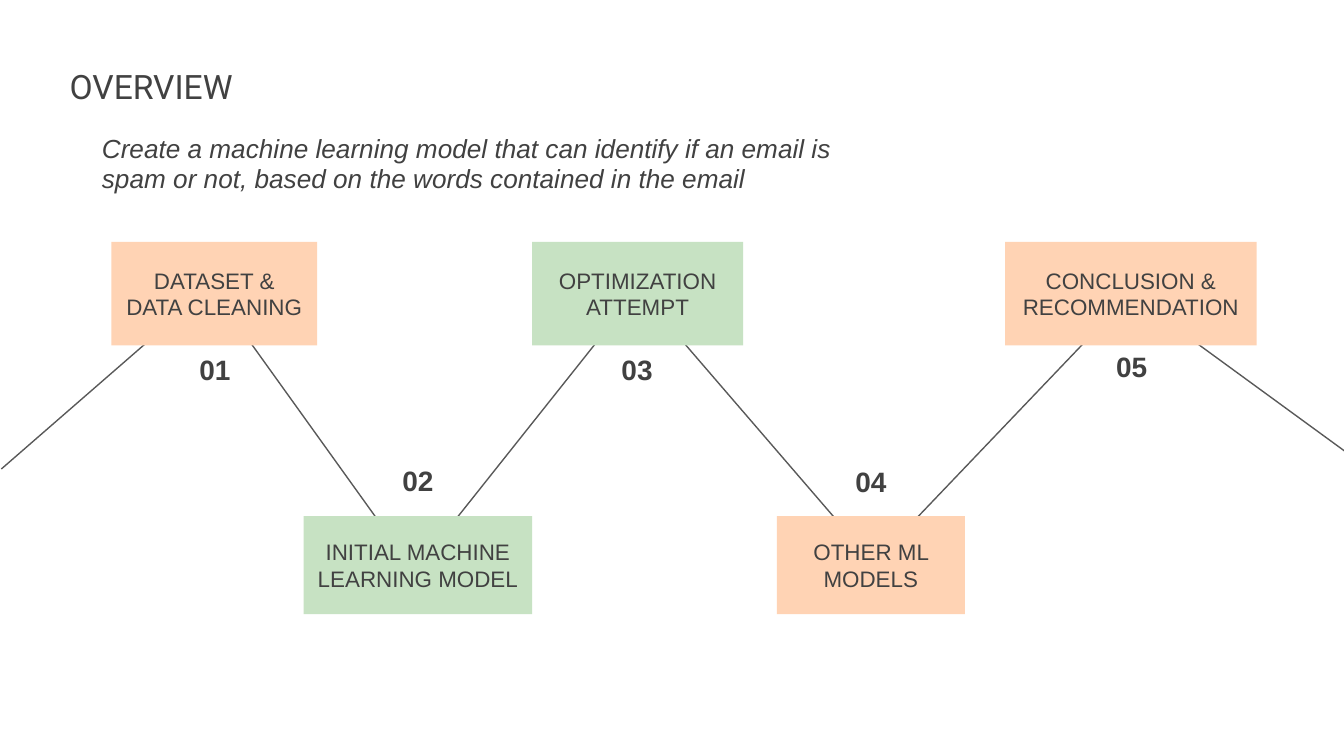
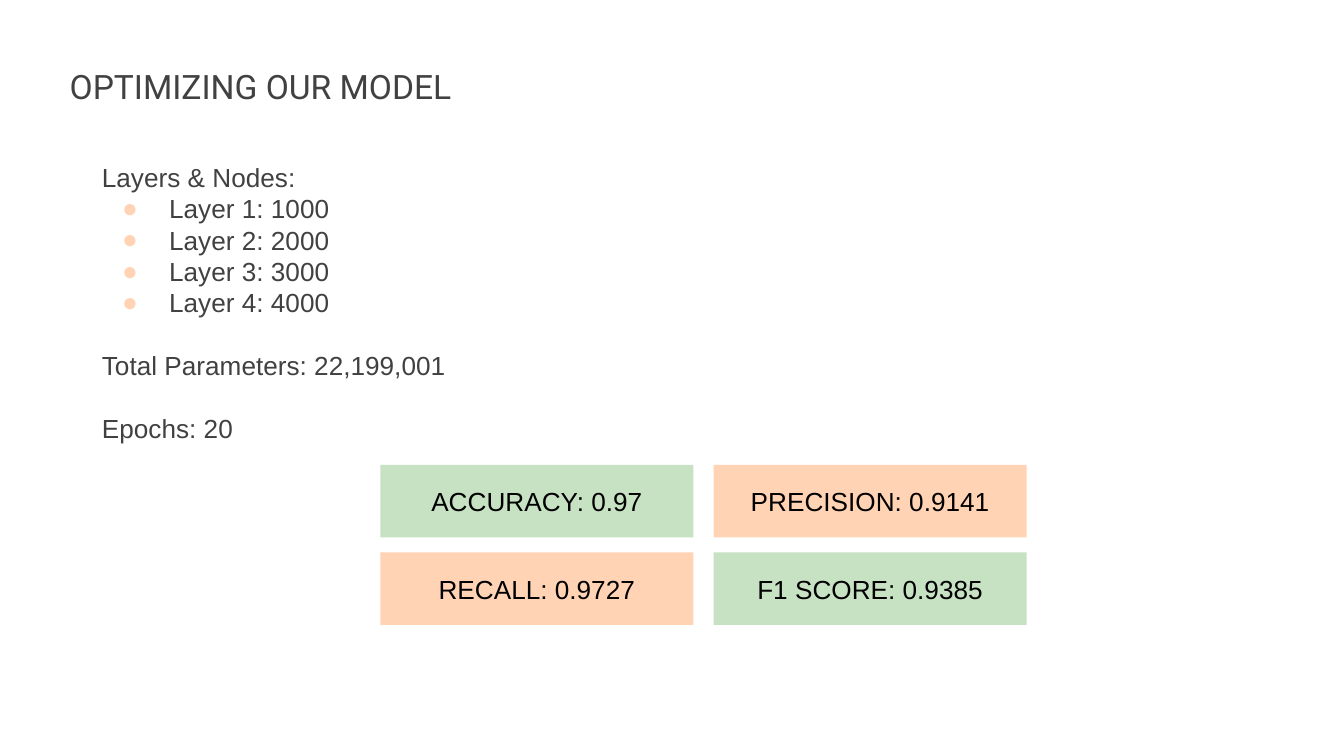
"""Build the overview and model optimization slides of a spam detection deck."""
from dataclasses import dataclass

from lxml.etree import SubElement
from pptx import Presentation
from pptx.dml.color import RGBColor
from pptx.enum.shapes import MSO_CONNECTOR, MSO_SHAPE
from pptx.enum.text import MSO_ANCHOR, MSO_AUTO_SIZE, PP_ALIGN
from pptx.oxml.ns import qn
from pptx.util import Inches, Pt


@dataclass(frozen=True)
class Theme:
    ink: str = "414141"
    black: str = "000000"
    line: str = "595959"
    peach: str = "FFD3B4"
    green: str = "C7E2C3"
    title_font: str = "Roboto"
    body_font: str = "Arial"
    title_size: int = 18
    number_size: int = 15
    body_size: int = 14
    step_size: int = 12


theme = Theme()
title_style = {"name": theme.title_font, "size": Pt(theme.title_size)}
number_style = {"size": Pt(theme.number_size), "bold": True}
body_style = {"size": Pt(theme.body_size)}
goal_style = {**body_style, "italic": True}
step_style = {"size": Pt(theme.step_size)}
frame_format = {
    "word_wrap": True,
    "margin_left": Inches(0.1),
    "margin_top": Inches(0.1),
    "margin_right": Inches(0.1),
    "margin_bottom": Inches(0.1),
}


def set_format(target, values):
    for name, value in values.items():
        setattr(target, name, value)


def add_text(page, lines, place, style, fill=None, color=theme.ink, align=PP_ALIGN.LEFT):
    place = [Inches(length) for length in place]
    if fill:
        box = page.shapes.add_shape(MSO_SHAPE.RECTANGLE, *place)
        box.shadow.inherit = False
        box.fill.solid()
        box.fill.fore_color.rgb = RGBColor.from_string(fill)
        box.line.fill.background()
        fit = {"vertical_anchor": MSO_ANCHOR.MIDDLE}
    else:
        box = page.shapes.add_textbox(*place)
        fit = {"vertical_anchor": MSO_ANCHOR.TOP, "auto_size": MSO_AUTO_SIZE.SHAPE_TO_FIT_TEXT}
    frame = box.text_frame
    set_format(frame, {**frame_format, **fit})
    for index, line in enumerate(lines):
        para = frame.add_paragraph() if index else frame.paragraphs[0]
        para.alignment = align
        span = para.add_run()
        span.text = line
        set_format(span.font, {"name": theme.body_font, **style})
        span.font.color.rgb = RGBColor.from_string(color)
    return box


deck = Presentation()
set_format(deck, {"slide_width": Inches(10), "slide_height": Inches(10 * 9 / 16)})
pages = []
for title, width in [("OVERVIEW", 3.22), ("OPTIMIZING OUR MODEL", 4.58)]:
    page = deck.slides.add_slide(deck.slide_layouts[6])
    add_text(page, [title], (0.42, 0.39, width, 0.5), title_style)
    pages.append(page)
overview, results = pages

goal = add_text(
    overview,
    ["Create a machine learning model that can identify if an email is spam or not, "
     "based on the words contained in the email"],
    (0.66, 0.9, 5.81, 0.59),
    goal_style,
)
goal.text_frame.auto_size = MSO_AUTO_SIZE.NONE
goal.text_frame.paragraphs[0].line_spacing = 0.95

zigzag = [
    (0.01, 3.49, 1.55, 2.15),
    (1.57, 2.14, 3.07, 4.23),
    (3.1, 4.23, 4.73, 2.18),
    (4.76, 2.17, 6.5, 4.19),
    (6.51, 4.18, 8.42, 2.18),
    (8.42, 2.2, 10.01, 3.36),
]
for ends in zigzag:
    line = overview.shapes.add_connector(
        MSO_CONNECTOR.STRAIGHT, *[Inches(length) for length in ends]
    )
    line.line.color.rgb = RGBColor.from_string(theme.line)
    line.line.width = Pt(0.75)
    SubElement(line._element.spPr, qn("a:effectLst"))

steps = [
    ("DATASET & DATA CLEANING", 0.83, 1.53, theme.peach, 1.31, 2.52),
    ("INITIAL MACHINE LEARNING MODEL", 2.26, 1.7, theme.green, 2.82, 3.35),
    ("OPTIMIZATION ATTEMPT", 3.96, 1.57, theme.green, 4.45, 2.52),
    ("OTHER ML MODELS", 5.78, 1.4, theme.peach, 6.19, 3.36),
    ("CONCLUSION & RECOMMENDATION", 7.48, 1.87, theme.peach, 8.13, 2.5),
]
for number, (label, left, width, fill, number_left, number_top) in enumerate(steps, 1):
    top, height = (1.8, 0.77) if number % 2 else (3.84, 0.73)
    add_text(overview, [label], (left, top, width, height), step_style,
             fill=fill, align=PP_ALIGN.CENTER)
    add_text(overview, [f"{number:02}"], (number_left, number_top, 0.58, 0.45),
             number_style, align=PP_ALIGN.CENTER)

layers = [f"Layer {layer}: {layer * 1000}" for layer in range(1, 5)]
settings = add_text(
    results,
    ["Layers & Nodes:", *layers, "Total Parameters: 22,199,001", "Epochs: 20"],
    (0.66, 1.1, 4.58, 2.32),
    body_style,
)
paragraphs = settings.text_frame.paragraphs
for para in paragraphs[1:5]:
    properties = para._p.get_or_add_pPr()
    properties.set("marL", str(Inches(0.5)))
    properties.set("indent", str(Inches(-0.35)))
    bullet_color = SubElement(properties, qn("a:buClr"))
    SubElement(bullet_color, qn("a:srgbClr"), val=theme.peach)
    SubElement(properties, qn("a:buFont"), typeface=theme.body_font)
    SubElement(properties, qn("a:buChar"), char="●")
for para in paragraphs[5:]:
    para.space_before = Pt(16.8)

scores = ["ACCURACY: 0.97", "PRECISION: 0.9141", "RECALL: 0.9727", "F1 SCORE: 0.9385"]
for index, score in enumerate(scores):
    row, column = divmod(index, 2)
    add_text(
        results,
        [score],
        (2.83 + 2.48 * column, 3.46 + 0.65 * row, 2.33, 0.54),
        body_style,
        fill=theme.peach if (row + column) % 2 else theme.green,
        color=theme.black,
        align=PP_ALIGN.CENTER,
    )

deck.save("out.pptx")
